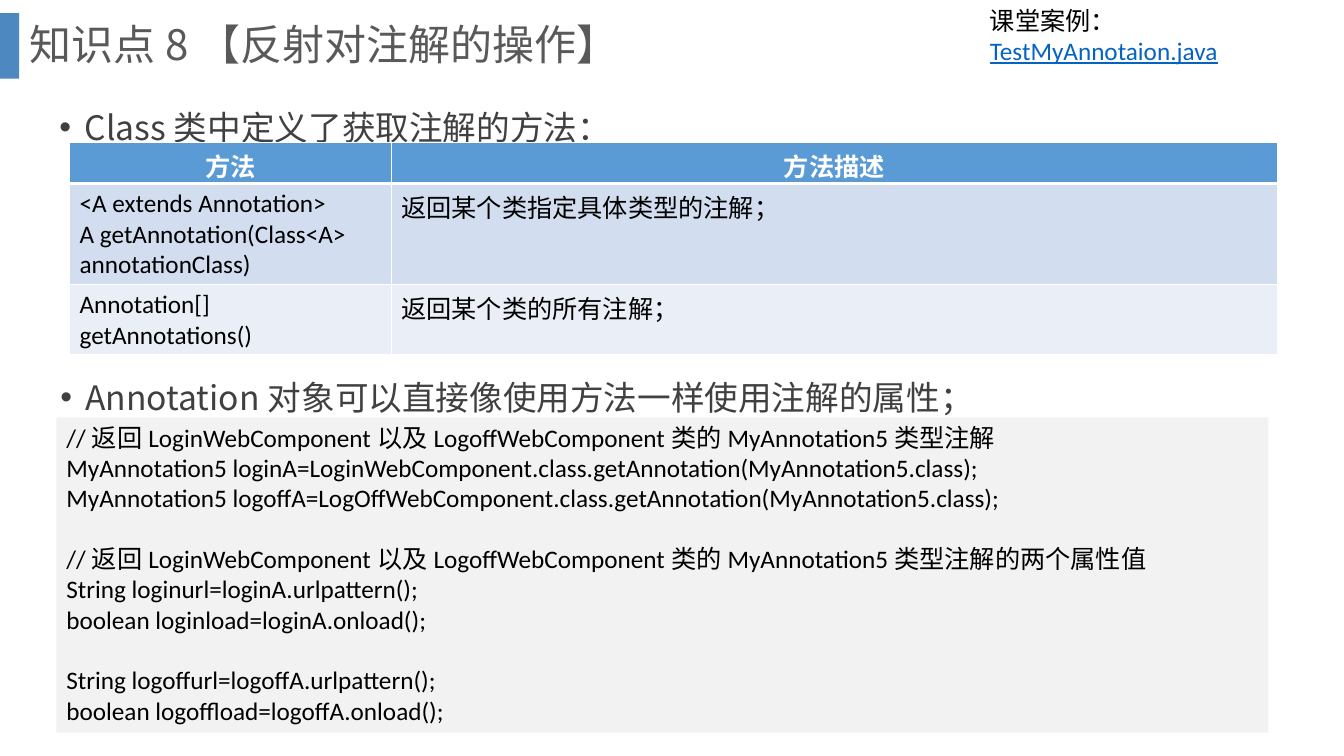
from dataclasses import dataclass
from lxml.etree import SubElement
from pptx import Presentation
from pptx.dml.color import RGBColor as RGB
from pptx.enum.shapes import MSO_SHAPE as Shape
from pptx.enum.text import MSO_ANCHOR as Anchor, MSO_AUTO_SIZE as Fit, PP_ALIGN as Align
from pptx.oxml.ns import qn
from pptx.util import Inches, Pt


@dataclass(frozen=True)
class Theme:
    sans: str = "Noto Sans CJK SC"
    body: str = "Calibri"
    title_size: int = 30
    point_size: int = 24
    text_size: int = 18
    bar: str = "2E75B6"
    title: str = "595959"
    point: str = "404040"
    black: str = "000000"
    white: str = "FFFFFF"
    link: str = "0563C1"
    panel: str = "F2F2F2"
    head: str = "5B9BD5"
    bands: tuple = ("D2DEEF", "EAEFF7")


THEME = Theme()
BODY = dict(name=THEME.body, size=THEME.text_size, color=THEME.black)
HEAD = BODY | dict(color=THEME.white, bold=True)
TITLE = dict(name=THEME.sans, size=THEME.title_size, color=THEME.title)
POINT = dict(name=THEME.sans, size=THEME.point_size, color=THEME.point)

METHODS = [
    (["方法"], ["方法描述"]),
    (["<A extends Annotation>", "A getAnnotation(Class<A> annotationClass)"],
     ["返回某个类指定具体类型的注解；"]),
    (["Annotation[] getAnnotations()"], ["返回某个类的所有注解；"]),
]
CODE = [
    ["//返回LoginWebComponent以及LogoffWebComponent类的MyAnnotation5类型注解",
     "MyAnnotation5 loginA=LoginWebComponent.class.getAnnotation(MyAnnotation5.class);",
     "MyAnnotation5 logoffA=LogOffWebComponent.class.getAnnotation(MyAnnotation5.class);"],
    ["//返回LoginWebComponent以及LogoffWebComponent类的MyAnnotation5类型注解的两个属性值",
     "String loginurl=loginA.urlpattern();",
     "boolean loginload=loginA.onload();"],
    ["String logoffurl=logoffA.urlpattern();",
     "boolean logoffload=logoffA.onload();"],
]


def place(*box):
    return [Inches(n) for n in box]


def paint(fill, color):
    fill.solid()
    fill.fore_color.rgb = RGB.from_string(color)


def add_run(para, text, style):
    run = para.add_run()
    run.text = text
    for key, value in style.items():
        if key == "color":
            run.font.color.rgb = RGB.from_string(value)
        else:
            setattr(run.font, key, Pt(value) if key == "size" else value)
    SubElement(run.font._element, qn("a:ea"), typeface=THEME.sans)


def write(frame, lines, style, **form):
    """Fill a text frame with one paragraph a line and return the paragraphs."""
    paras = []
    for line in lines:
        para = frame.add_paragraph() if paras else frame.paragraphs[0]
        for key, value in form.items():
            setattr(para, key, value)
        add_run(para, line, style)
        paras.append(para)
    return paras


def add_text(slide, box, text, style, **form):
    frame = slide.shapes.add_textbox(*place(*box)).text_frame
    frame.word_wrap = True
    return frame, write(frame, [text], style, **form)[0]


def add_point(slide, box, text):
    para = add_text(slide, box, text, POINT, line_spacing=1.5, space_before=Pt(10))[1]
    props = para._p.get_or_add_pPr()
    props.set("marL", str(Inches(0.25)))
    props.set("indent", str(-Inches(0.25)))
    SubElement(props, qn("a:buFont"), typeface="Arial")
    SubElement(props, qn("a:buChar"), char="•")


def add_rect(slide, box, color):
    rect = slide.shapes.add_shape(Shape.RECTANGLE, *place(*box))
    rect.shadow.inherit = False
    rect.line.fill.background()
    paint(rect.fill, color)
    return rect


def add_bar(slide):
    bar = add_rect(slide, (0, 0.13, 0.19, 0.65), THEME.bar)
    tint = bar._element.spPr.find(qn("a:solidFill"))[0]
    SubElement(tint, qn("a:alpha"), val="85000")


def set_edges(cell, top, bottom):
    props = cell._tc.get_or_add_tcPr()
    for side, width in dict(L=1, R=1, T=top, B=bottom).items():
        line = SubElement(props, qn(f"a:ln{side}"), w=str(Pt(width)))
        fill = SubElement(line, qn("a:solidFill"))
        SubElement(fill, qn("a:srgbClr"), val=THEME.white)


def add_grid(slide, box, widths, height):
    holder = slide.shapes.add_table(len(METHODS), len(widths), *place(*box))
    table = holder.table
    for col, width in zip(table.columns, widths):
        col.width = Inches(width)
    for r, texts in enumerate(METHODS):
        table.rows[r].height = Inches(height)
        for c, lines in enumerate(texts):
            cell = table.cell(r, c)
            set_edges(cell, 3 if r == 1 else 1, 1 if r else 3)
            paint(cell.fill, THEME.bands[(r - 1) % 2] if r else THEME.head)
            write(cell.text_frame, lines, BODY if r else HEAD,
                  alignment=Align.LEFT if r else Align.CENTER)
    holder.height = Inches(box[3])


def add_code(slide, box):
    frame = add_rect(slide, box, THEME.panel).text_frame
    frame.word_wrap = True
    frame.auto_size = Fit.SHAPE_TO_FIT_TEXT
    frame.vertical_anchor = Anchor.TOP
    paras = write(frame, sum(CODE, []), BODY, alignment=Align.LEFT)
    start = 0
    for block in CODE[:-1]:
        start += len(block)
        paras[start].space_before = Pt(21.8)


def main():
    deck = Presentation()
    deck.slide_width, deck.slide_height = place(13.33, 7.5)
    slide = deck.slides.add_slide(deck.slide_layouts[6])
    add_bar(slide)
    add_point(slide, (0.49, 0.81, 12.05, 0.83), "Class类中定义了获取注解的方法：")
    title = add_text(slide, (0.19, 0, 12.66, 0.93), "知识点8【反射对注解的操作】",
                     TITLE, line_spacing=0.9)[0]
    title.vertical_anchor = Anchor.MIDDLE
    add_grid(slide, (0.69, 1.41, 11.98, 2.11), (3.19, 8.79), 0.41)
    add_point(slide, (0.5, 3.49, 12.05, 0.83),
              "Annotation对象可以直接像使用方法一样使用注解的属性；")
    add_code(slide, (0.56, 4.14, 12.02, 3.13))
    para = add_text(slide, (9.72, 0, 3.05, 1.31), "课堂案例：", BODY)[1]
    add_run(para, "TestMyAnnotaion.java", BODY | dict(color=THEME.link, underline=True))
    deck.save("out.pptx")


if __name__ == "__main__":
    main()
